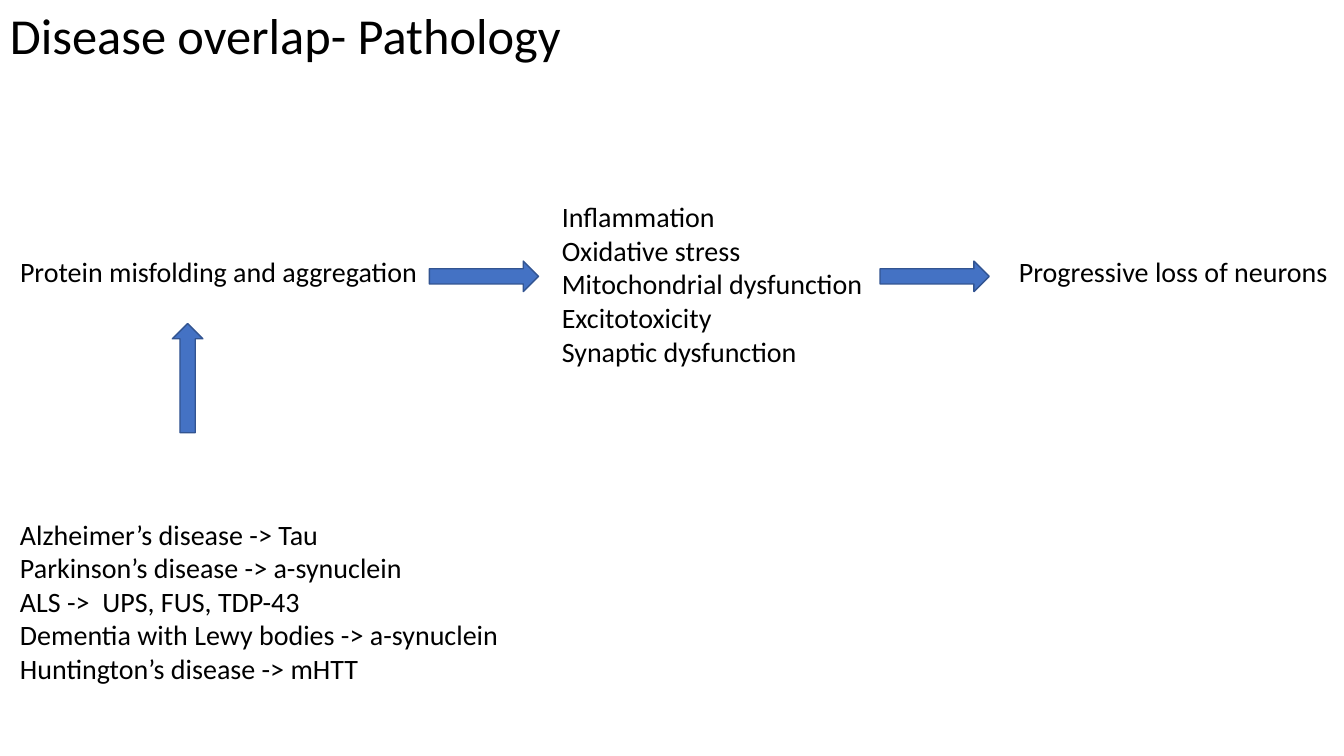
from pptx import Presentation
from pptx.dml.color import RGBColor
from pptx.enum.shapes import MSO_SHAPE
from pptx.enum.text import MSO_ANCHOR
from pptx.util import Pt

RIGHT_ARROW = MSO_SHAPE.RIGHT_ARROW
TOP, MIDDLE = MSO_ANCHOR.TOP, MSO_ANCHOR.MIDDLE

BLACK = RGBColor(0x00, 0x00, 0x00)
BLUE = RGBColor(0x44, 0x72, 0xC4)
DARK_BLUE = RGBColor(0x32, 0x54, 0x91)

SLIDE_WIDTH, SLIDE_HEIGHT = 960, 540
LEFT_MARGIN = 7.2
STAGE_TOP = 178.6
ARROW_TOP = 186.5
ARROW_WIDTH, ARROW_HEIGHT = 78, 21.8

DISEASE_PROTEINS = [
    "Alzheimer’s disease -> Tau",
    "Parkinson’s disease -> a-synuclein",
    "ALS ->  UPS, FUS, TDP-43",
    "Dementia with Lewy bodies -> a-synuclein",
    "Huntington’s disease -> mHTT",
]
MECHANISMS = [
    "Inflammation",
    "Oxidative stress",
    "Mitochondrial dysfunction Excitotoxicity",
    "Synaptic dysfunction",
]


class SlideBuilder:
    font_name = "Calibri"
    body_size = 20
    title_size = 36

    def __init__(self, slide):
        self.slide = slide

    def text(self, lines, left, top, width, height,
             size=body_size, anchor=TOP, line_spacing=1.0):
        box = self.slide.shapes.add_textbox(
            Pt(left), Pt(top), Pt(width), Pt(height))
        frame = box.text_frame
        frame.word_wrap = True
        frame.vertical_anchor = anchor
        frame.text = "\n".join(lines)
        for paragraph in frame.paragraphs:
            paragraph.line_spacing = line_spacing
            paragraph.font.name = self.font_name
            paragraph.font.size = Pt(size)
            paragraph.font.color.rgb = BLACK

    def title(self, wording, left, top, width, height):
        self.text([wording], left, top, width, height,
                  self.title_size, MIDDLE, 0.9)

    def arrow(self, left, top, rotation=0):
        shape = self.slide.shapes.add_shape(
            RIGHT_ARROW, Pt(left), Pt(top), Pt(ARROW_WIDTH), Pt(ARROW_HEIGHT))
        shape.rotation = rotation
        shape.shadow.inherit = False
        shape.fill.solid()
        shape.fill.fore_color.rgb = BLUE
        shape.line.color.rgb = DARK_BLUE
        shape.line.width = Pt(1)


def main():
    presentation = Presentation()
    presentation.slide_width = Pt(SLIDE_WIDTH)
    presentation.slide_height = Pt(SLIDE_HEIGHT)
    blank_layout = presentation.slide_layouts[6]
    builder = SlideBuilder(presentation.slides.add_slide(blank_layout))

    builder.title("Disease overlap- Pathology", 0, -25.2, 828, 104.4)
    builder.text(DISEASE_PROTEINS, LEFT_MARGIN, 365.8, 473, 150.5)
    builder.text(["Protein misfolding and aggregation"],
                 LEFT_MARGIN, STAGE_TOP, 315.4, 31.7)
    builder.arrow(306.7, ARROW_TOP)
    builder.text(MECHANISMS, 394.2, 139, 300.2, 128.2)
    builder.arrow(628.6, ARROW_TOP)
    builder.text(["Progressive loss of neurons"],
                 720.7, STAGE_TOP, 254.9, 31.7)
    builder.arrow(95, 259.2, rotation=270)

    presentation.save("out.pptx")


if __name__ == "__main__":
    main()
